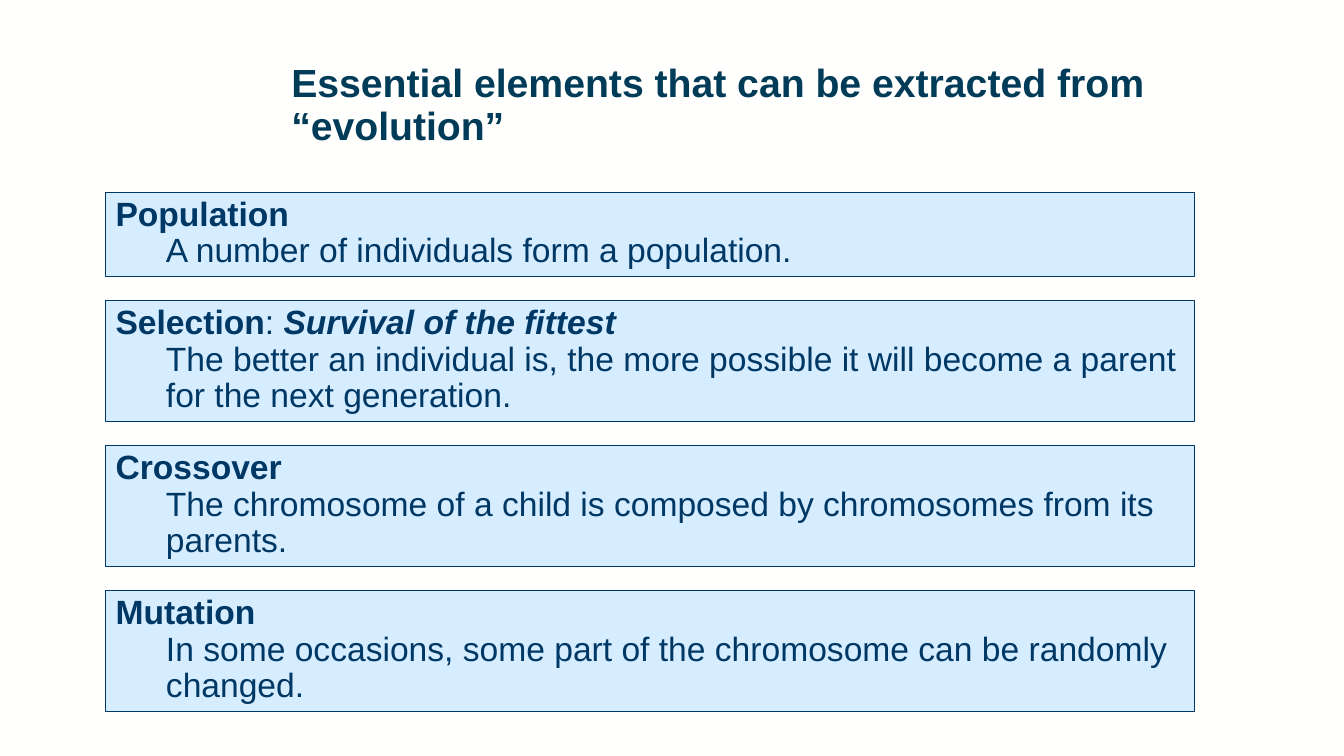
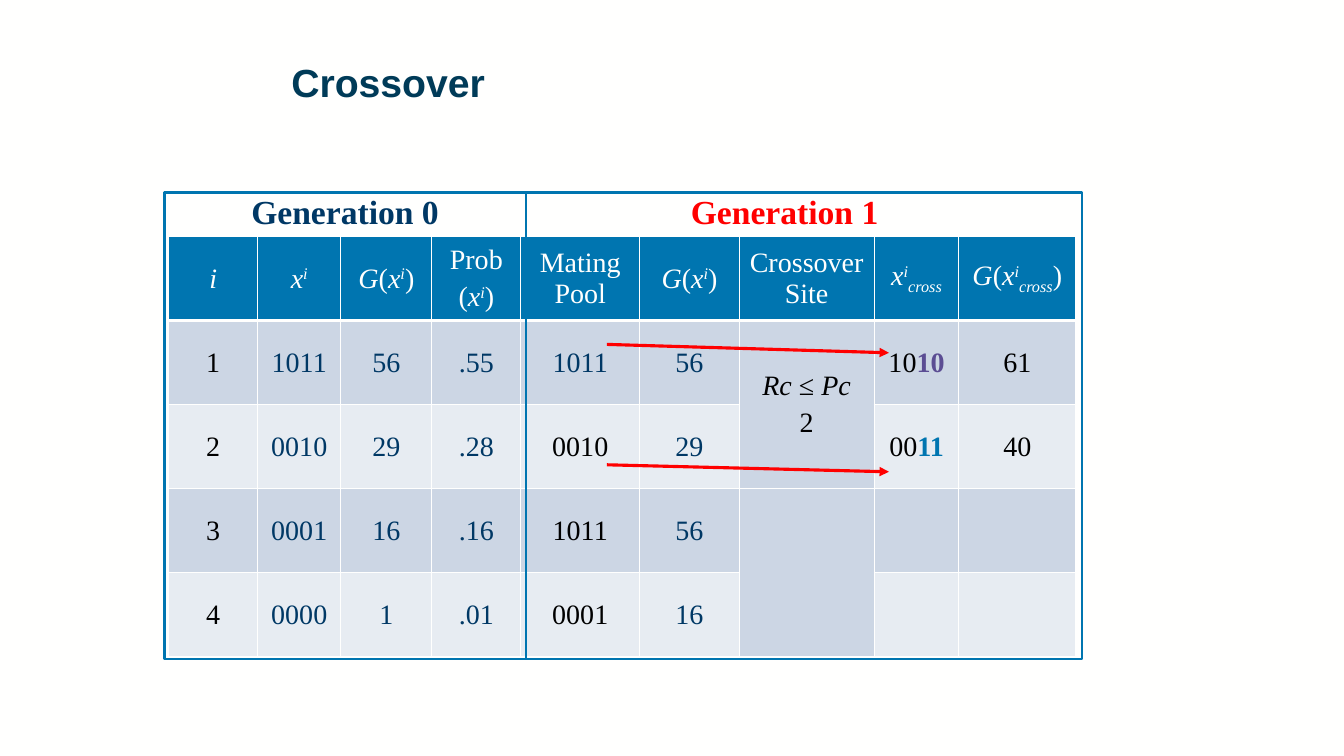
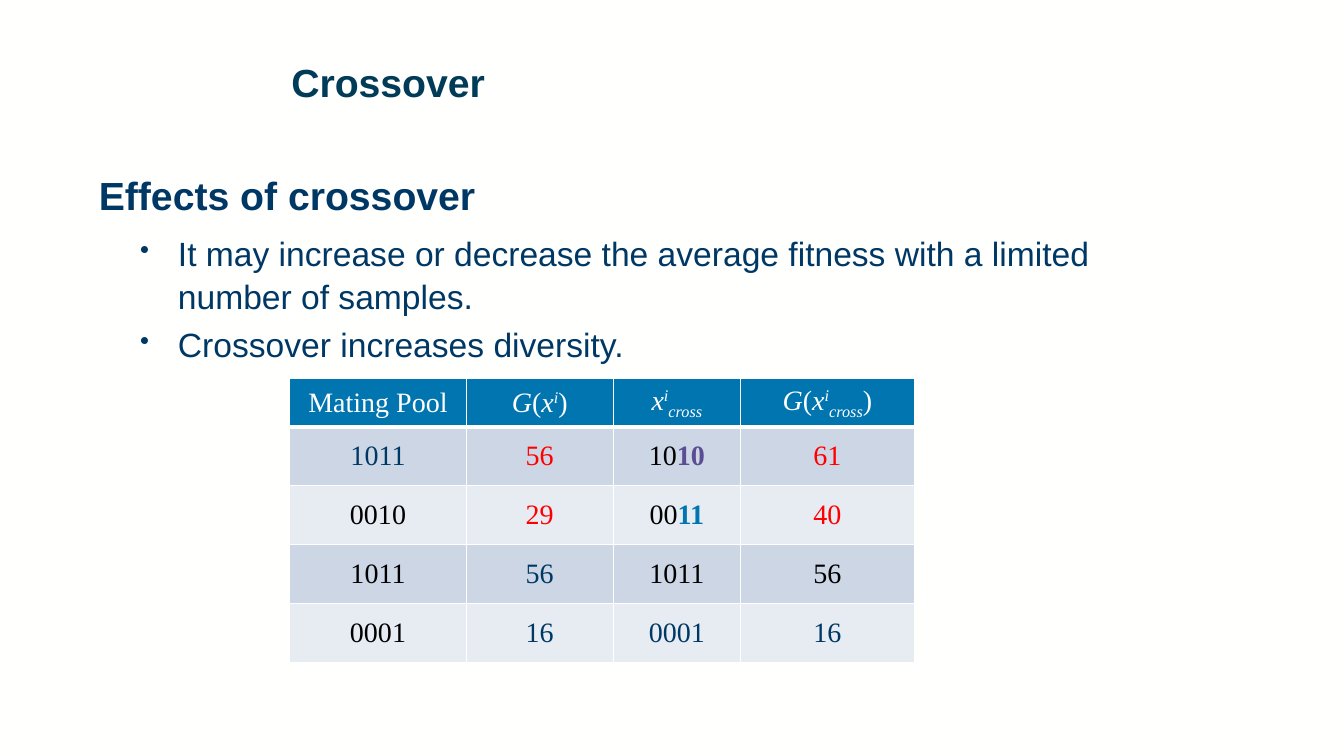
from dataclasses import dataclass
from typing import NamedTuple, Optional, Sequence

from lxml.etree import SubElement
from pptx import Presentation
from pptx.dml.color import RGBColor
from pptx.enum.shapes import MSO_CONNECTOR, MSO_SHAPE
from pptx.enum.text import MSO_ANCHOR, PP_ALIGN
from pptx.oxml.ns import qn
from pptx.util import Pt

SANS = "Arial"
SERIF = "Times New Roman"
PAPER = "FFFFFE"
TITLE_BLUE = "003B58"
NAVY = "003865"
PALE_BLUE = "D6EDFF"
BLUE = "0075B0"
PURPLE = "5B4D93"
RED = "FF0000"
BLACK = "000000"
BANDS = ("CCD6E4", "E7ECF2")


class Box(NamedTuple):
    left: float
    top: float
    width: float
    height: float

    def lengths(self) -> tuple:
        return tuple(Pt(value) for value in self)


class Run(NamedTuple):
    text: str
    color: str = NAVY
    bold: bool = False
    italic: bool = False
    baseline: int = 0


@dataclass
class Line:
    runs: Sequence[Run]
    size: float = 24
    font: str = SANS
    align: PP_ALIGN = PP_ALIGN.LEFT
    space_before: float = 0
    spacing: Optional[float] = None
    margin: float = 0
    bullet: str = ""


Cell = Sequence[Sequence[Run]]


def rgb(color: str) -> RGBColor:
    return RGBColor.from_string(color)


# Text

def style(font, run: Run) -> None:
    font.color.rgb = rgb(run.color)
    font.bold = run.bold
    font.italic = run.italic


def fill_paragraph(paragraph, line: Line) -> None:
    properties = paragraph._p.get_or_add_pPr()
    if line.margin:
        properties.set("marL", str(Pt(line.margin)))
        properties.set("indent", str(Pt(-line.margin if line.bullet else 0)))
    if line.bullet:
        SubElement(properties, qn("a:buSzPct"), val="80000")
        SubElement(properties, qn("a:buChar"), char=line.bullet)
    paragraph.alignment = line.align
    paragraph.space_before = Pt(line.space_before)
    if line.spacing:
        paragraph.line_spacing = line.spacing
    paragraph.font.name = line.font
    paragraph.font.size = Pt(line.size)
    uniform = len({run[1:4] for run in line.runs}) == 1
    if uniform:
        style(paragraph.font, line.runs[0])
    for run in line.runs:
        text_run = paragraph.add_run()
        text_run.text = run.text
        if not uniform:
            style(text_run.font, run)
        if run.baseline:
            text_run._r.get_or_add_rPr().set("baseline", str(run.baseline * 1000))


def write(frame, lines: Sequence[Line]) -> None:
    for index, line in enumerate(lines):
        paragraph = frame.add_paragraph() if index else frame.paragraphs[0]
        fill_paragraph(paragraph, line)


def add_text(slide, box: Box, lines: Sequence[Line], wrap: bool = True) -> None:
    frame = slide.shapes.add_textbox(*box.lengths()).text_frame
    frame.word_wrap = wrap
    write(frame, lines)


# Shapes

def add_rectangle(slide, box: Box, line_color: str, line_width: float,
                  fill: Optional[str] = None):
    shape = slide.shapes.add_shape(MSO_SHAPE.RECTANGLE, *box.lengths())
    shape.shadow.inherit = False
    if fill:
        shape.fill.solid()
        shape.fill.fore_color.rgb = rgb(fill)
    else:
        shape.fill.background()
    shape.line.color.rgb = rgb(line_color)
    shape.line.width = Pt(line_width)
    return shape


def add_arrow(slide, start: tuple, end: tuple) -> None:
    arrow = slide.shapes.add_connector(
        MSO_CONNECTOR.STRAIGHT, *(Pt(value) for value in (*start, *end)))
    arrow.line.color.rgb = rgb(RED)
    arrow.line.width = Pt(2.25)
    SubElement(arrow.line._get_or_add_ln(), qn("a:tailEnd"), type="triangle")
    SubElement(arrow._element.spPr, qn("a:effectLst"))


# Tables

def add_borders(cell, row: int) -> None:
    properties = cell._tc.get_or_add_tcPr()
    widths = {"L": 1, "R": 1, "T": 3 if row == 1 else 1, "B": 3 if row == 0 else 1}
    for side, width in widths.items():
        border = SubElement(properties, qn(f"a:ln{side}"), w=str(Pt(width)))
        SubElement(SubElement(border, qn("a:solidFill")), qn("a:srgbClr"), val=PAPER)


def add_grid(slide, left: float, top: float, columns: Sequence[float],
             heights: Sequence[float], rows: Sequence[Sequence[Cell]]):
    box = Box(left, top, sum(columns), sum(heights))
    table = slide.shapes.add_table(len(rows), len(columns), *box.lengths()).table
    table.first_row = table.horz_banding = False
    for column, width in zip(table.columns, columns):
        column.width = Pt(width)
    for row_index, (cells, height) in enumerate(zip(rows, heights)):
        table.rows[row_index].height = Pt(height)
        for column_index, content in enumerate(cells):
            cell = table.cell(row_index, column_index)
            add_borders(cell, row_index)
            cell.fill.solid()
            band = BANDS[(row_index - 1) % 2] if row_index else BLUE
            cell.fill.fore_color.rgb = rgb(band)
            cell.vertical_anchor = MSO_ANCHOR.MIDDLE
            write(cell.text_frame, [
                Line(runs, 20, SERIF, PP_ALIGN.CENTER, space_before=4 if index else 0)
                for index, runs in enumerate(content)])
    return table


def plain(text: str, color: str = NAVY) -> Cell:
    return [[Run(text, color)]]


def head(text: str, italic: bool = False, baseline: int = 0) -> Run:
    return Run(text, PAPER, False, italic, baseline)


# Contents shared by both tables
X_I = [head("x", True), head("i", True, 30)]
X_CROSS = [*X_I, head("cross", True, -25)]
OPEN, CLOSE = head("("), head(")")
G = head("G", True)
G_X = [G, OPEN, *X_I, CLOSE]
G_CROSS = [G, OPEN, *X_CROSS, CLOSE]
MATING_POOL = [head("Mating Pool")]
CHILD_1 = [[Run("10", BLACK), Run("10", PURPLE, True)]]
CHILD_2 = [[Run("00", BLACK), Run("11", BLUE, True)]]
EMPTY: Cell = []


def new_slide(presentation, title: str):
    slide = presentation.slides.add_slide(presentation.slide_layouts[6])
    slide.background.fill.solid()
    slide.background.fill.fore_color.rgb = rgb(PAPER)
    add_text(slide, Box(201, 42, 725, 70),
             [Line([Run(title, TITLE_BLUE, True)], 28, spacing=0.9)])
    return slide


def build_elements(presentation) -> None:
    slide = new_slide(presentation,
                      "Essential elements that can be extracted from “evolution”")
    # Heading runs, explanation, lines of text in the panel
    panels = [
        ([Run("Population", bold=True)],
         "A number of individuals form a population.", 2),
        ([Run("Selection", bold=True), Run(": "),
          Run("Survival of the fittest", bold=True, italic=True)],
         "The better an individual is, the more possible it will become a parent "
         "for the next generation.", 3),
        ([Run("Crossover", bold=True)],
         "The chromosome of a child is composed by chromosomes from its parents.", 3),
        ([Run("Mutation", bold=True)],
         "In some occasions, some part of the chromosome can be randomly changed.", 3),
    ]
    top, gap = 137.5, 17.5
    for heading, explanation, line_count in panels:
        height = 8 + 26 * line_count
        panel = add_rectangle(slide, Box(75.5, top, 778, height), NAVY, 0.75, PALE_BLUE)
        panel.text_frame.vertical_anchor = MSO_ANCHOR.TOP
        panel.text_frame.word_wrap = True
        write(panel.text_frame, [
            Line(heading, spacing=0.9),
            Line([Run(explanation)], spacing=0.9, margin=36)])
        top += height + gap


def build_crossover(presentation) -> None:
    slide = new_slide(presentation, "Crossover")

    # Table of both generations
    site = [[Run("Rc ", BLACK, italic=True), Run("≤ ", BLACK),
             Run("Pc", BLACK, italic=True)], [Run("2", BLACK)]]
    header = [[[head("i", True)]], [X_I], [G_X], [[head("Prob")], [OPEN, *X_I, CLOSE]],
              [MATING_POOL], [G_X], [[head("Crossover Site")]], [X_CROSS], [G_CROSS]]
    parents = [("1011", "56", ".55"), ("0010", "29", ".28"),
               ("0001", "16", ".16"), ("0000", "1", ".01")]
    pool = [(plain("1011"), "56"), (plain("0010", BLACK), "29"),
            (plain("1011", BLACK), "56"), (plain("0001", BLACK), "16")]
    children = [(site, CHILD_1, plain("61", BLACK)),
                (EMPTY, CHILD_2, plain("40", BLACK)),
                (EMPTY,) * 3, (EMPTY,) * 3]
    rows = [
        [plain(str(number), BLACK), *map(plain, parent), mate, plain(fitness), *child]
        for number, (parent, (mate, fitness), child)
        in enumerate(zip(parents, pool, children), 1)]
    table = add_grid(slide, 120.5, 169,
                     [63.5, 59.5, 65, 63.5, 85, 71, 96.5, 60.5, 83.5],
                     [60] * 5, [header, *rows])
    for first_row in (1, 3):
        table.cell(first_row, 6).merge(table.cell(first_row + 1, 6))

    # Arrows from parents to children
    for start, end in ((246, 252), (332, 337)):
        add_arrow(slide, (433.5, start), (635, end))

    # Frames with their labels
    for left, width, label_left, label, color in (
            (117.5, 258, 171.5, "Generation 0", NAVY),
            (375.5, 397.5, 485.5, "Generation 1", RED)):
        add_rectangle(slide, Box(left, 137.5, width, 333.5), BLUE, 1.5)
        add_text(slide, Box(label_left, 133, 150, 36),
                 [Line([Run(label, color, True)], 24, SERIF, PP_ALIGN.CENTER)], False)


def build_effects(presentation) -> None:
    slide = new_slide(presentation, "Crossover")
    add_text(slide, Box(63.5, 119, 287, 41),
             [Line([Run("Effects of crossover", bold=True)], 28)], False)

    # Bullets
    effects = ["It may increase or decrease the average fitness with a limited "
               "number of samples.", "Crossover increases diversity."]
    add_text(slide, Box(93, 160.5, 769, 338), [
        Line([Run(effect)], space_before=4 if index else 0, spacing=1.07,
             margin=27, bullet="•")
        for index, effect in enumerate(effects)])

    # Fitness before and after
    rows = [
        [[MATING_POOL], [G_X], [X_CROSS], [G_CROSS]],
        [plain("1011"), plain("56", RED), CHILD_1, plain("61", RED)],
        [plain("0010", BLACK), plain("29", RED), CHILD_2, plain("40", RED)],
        [plain("1011", BLACK), plain("56"), plain("1011", BLACK), plain("56", BLACK)],
        [plain("0001", BLACK), plain("16"), plain("0001"), plain("16")],
    ]
    add_grid(slide, 207, 270.5, [126, 105, 91, 124], [32, *[42] * 4], rows)


def main() -> None:
    presentation = Presentation()
    presentation.slide_width = Pt(960)
    presentation.slide_height = Pt(540)
    build_elements(presentation)
    build_crossover(presentation)
    build_effects(presentation)
    presentation.save("out.pptx")


if __name__ == "__main__":
    main()
